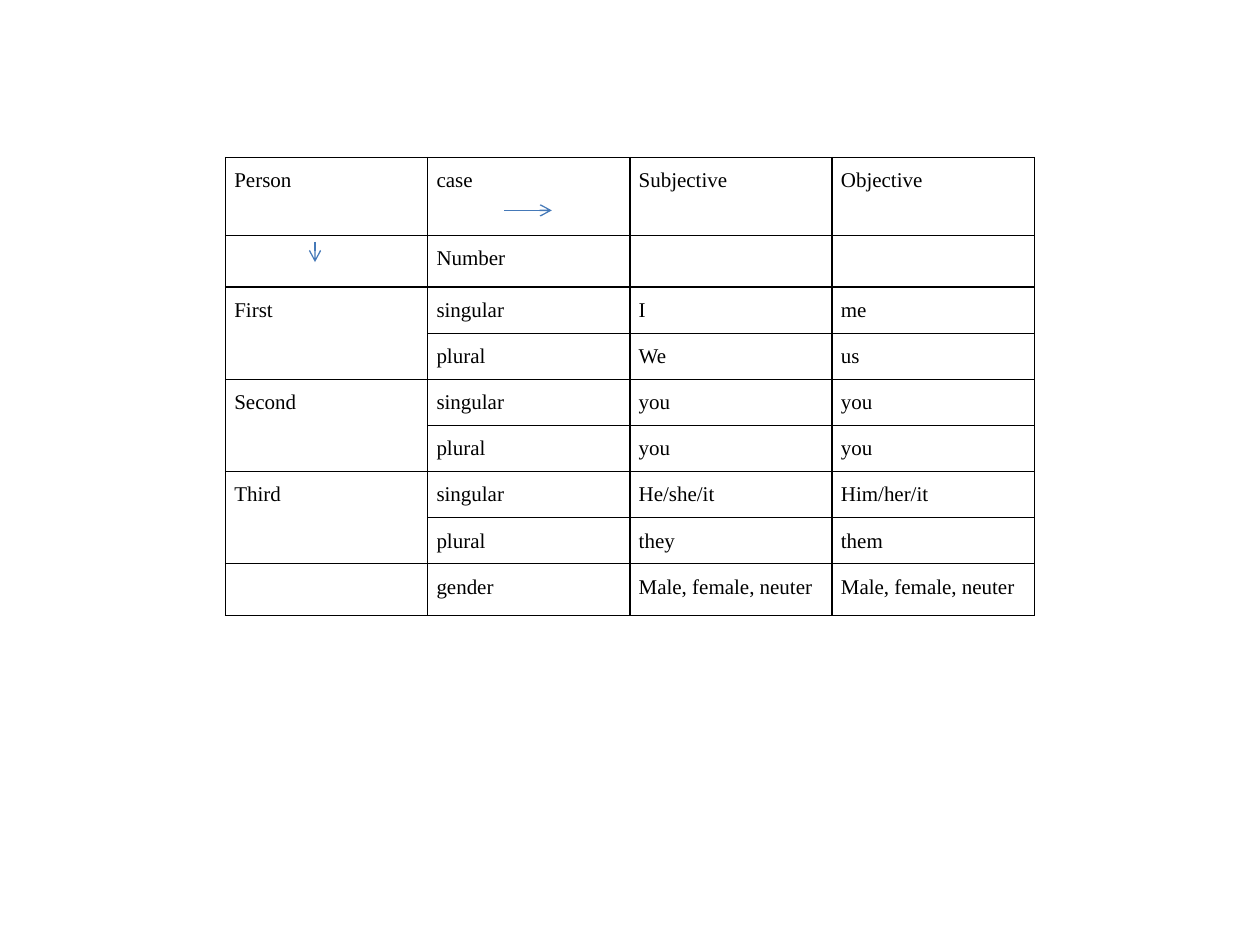
from lxml import etree
from pptx import Presentation
from pptx.dml.color import RGBColor
from pptx.enum import shapes, text
from pptx.oxml.ns import qn
from pptx.util import Inches, Pt

BLACK = RGBColor(0x00, 0x00, 0x00)
BLUE = RGBColor(0x45, 0x79, 0xB8)
FONT = "Times New Roman"

PRONOUNS = [
    ("Person", "case", "Subjective", "Objective"),
    ("", "Number", "", ""),
    ("First", "singular", "I", "me"),
    ("", "plural", "We", "us"),
    ("Second", "singular", "you", "you"),
    ("", "plural", "you", "you"),
    ("Third", "singular", "He/she/it", "Him/her/it"),
    ("", "plural", "they", "them"),
    ("", "gender", "Male, female, neuter", "Male, female, neuter"),
]
ROW_HEIGHTS = [0.62, 0.41] + [0.366] * 6 + [0.41]
COLUMN_WIDTH = 1.605
PERSON_ROWS = (2, 4, 6)  # each person spans singular and plural


def set_borders(cell):
    properties = cell._tc.get_or_add_tcPr()
    for index, side in enumerate(("lnL", "lnR", "lnT", "lnB")):
        line = etree.Element(qn(f"a:{side}"), w=str(Pt(1)))
        fill = etree.SubElement(line, qn("a:solidFill"))
        etree.SubElement(fill, qn("a:srgbClr"), val=str(BLACK))
        properties.insert(index, line)


def format_cell(cell, content):
    cell.margin_left = cell.margin_right = Inches(0.07)
    cell.margin_top = cell.margin_bottom = 0
    cell.fill.background()
    set_borders(cell)
    cell.text = content
    paragraph = cell.text_frame.paragraphs[0]
    paragraph.alignment = text.PP_ALIGN.JUSTIFY
    paragraph.line_spacing = 1.5
    paragraph.font.size = Pt(12)
    for run in paragraph.runs:
        run.font.name = FONT
        run.font.size = Pt(12)
        run.font.color.rgb = BLACK


def add_pronoun_table(slide):
    columns = len(PRONOUNS[0])
    table = slide.shapes.add_table(
        len(PRONOUNS), columns, Inches(1.79), Inches(1.25),
        Inches(COLUMN_WIDTH * columns), Inches(sum(ROW_HEIGHTS))).table
    table.first_row = table.horz_banding = False
    for column in table.columns:
        column.width = Inches(COLUMN_WIDTH)
    for row, height in zip(table.rows, ROW_HEIGHTS):
        row.height = Inches(height)
    for row, contents in zip(table.rows, PRONOUNS):
        for cell, content in zip(row.cells, contents):
            format_cell(cell, content)
    for row in PERSON_ROWS:
        table.cell(row, 0).merge(table.cell(row + 1, 0))


def add_arrow(slide, start_x, start_y, end_x, end_y):
    arrow = slide.shapes.add_connector(
        shapes.MSO_CONNECTOR.STRAIGHT,
        Inches(start_x), Inches(start_y), Inches(end_x), Inches(end_y))
    arrow.line.color.rgb = BLUE
    arrow.line.width = Pt(0.75)
    etree.SubElement(arrow.line._get_or_add_ln(), qn("a:tailEnd"), type="arrow")
    etree.SubElement(arrow._element.spPr, qn("a:effectLst"))


def main():
    presentation = Presentation()
    presentation.slide_width = Inches(10)
    presentation.slide_height = Inches(7.5)
    slide = presentation.slides.add_slide(presentation.slide_layouts[6])

    add_pronoun_table(slide)

    # Arrows for the direction of case and person
    add_arrow(slide, 4, 1.67, 4.38, 1.67)
    add_arrow(slide, 2.5, 1.92, 2.5, 2.08)

    presentation.save("out.pptx")


if __name__ == "__main__":
    main()
